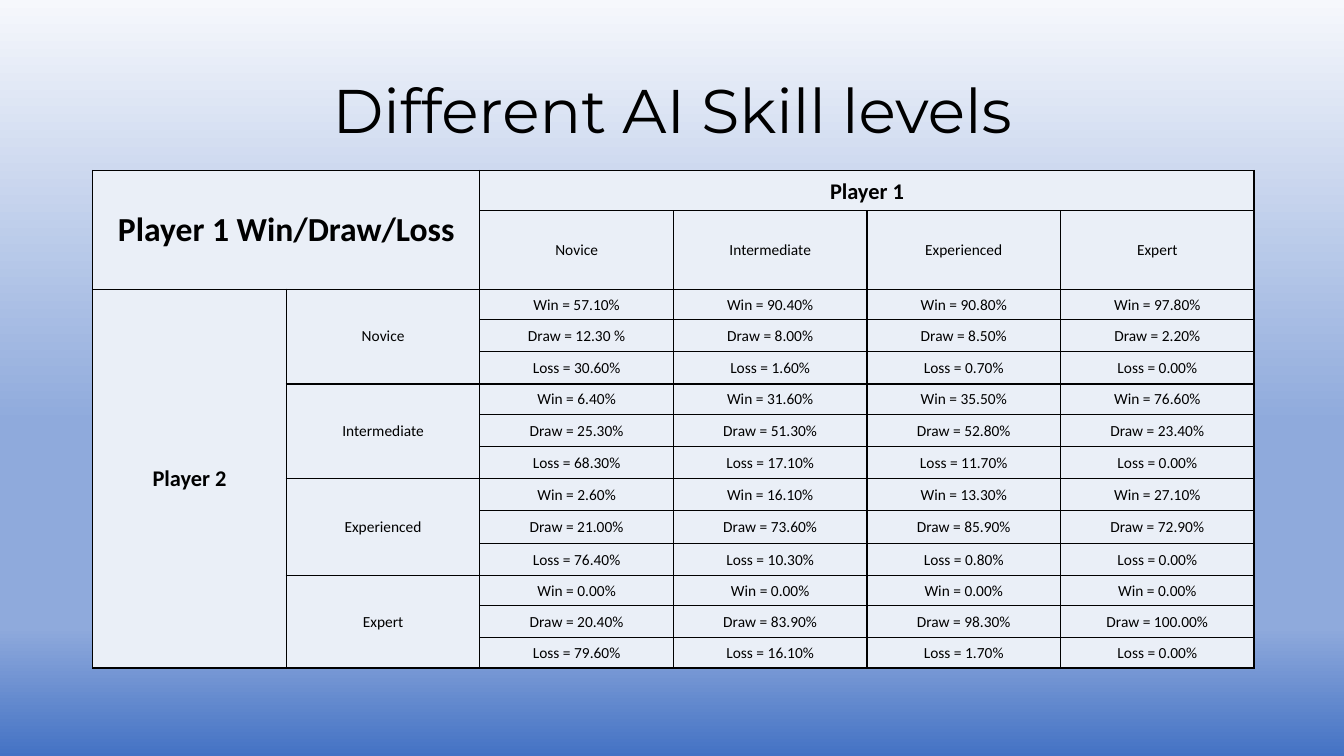
"""Build the slide that compares AI skill levels by win, draw and loss rates."""
from copy import deepcopy

from lxml import etree
from pptx import Presentation
from pptx.dml.color import RGBColor
from pptx.enum import text
from pptx.oxml import ns
from pptx.util import Inches, Pt

BLACK = RGBColor(0x00, 0x00, 0x00)
CELL_FILL = RGBColor(0xEA, 0xEF, 0xF7)
GRADIENT = [
    (0, RGBColor(0xF6, 0xF8, 0xFC)),
    (0.56, RGBColor(0x8F, 0xAA, 0xDC)),
    (0.83, RGBColor(0x8F, 0xAA, 0xDC)),
    (1, RGBColor(0x44, 0x72, 0xC4)),
]

LEVELS = ["Novice", "Intermediate", "Experienced", "Expert"]
OUTCOMES = ["Win", "Draw", "Loss"]
RATES = [
    ["57.10%", "90.40%", "90.80%", "97.80%"],
    ["12.30 %", "8.00%", "8.50%", "2.20%"],
    ["30.60%", "1.60%", "0.70%", "0.00%"],
    ["6.40%", "31.60%", "35.50%", "76.60%"],
    ["25.30%", "51.30%", "52.80%", "23.40%"],
    ["68.30%", "17.10%", "11.70%", "0.00%"],
    ["2.60%", "16.10%", "13.30%", "27.10%"],
    ["21.00%", "73.60%", "85.90%", "72.90%"],
    ["76.40%", "10.30%", "0.80%", "0.00%"],
    ["0.00%", "0.00%", "0.00%", "0.00%"],
    ["20.40%", "83.90%", "98.30%", "100.00%"],
    ["79.60%", "16.10%", "1.70%", "0.00%"],
]
ROW_HEIGHTS = [0.4, 0.78, 0.3, 0.32, 0.32, 0.3, 0.32,
               0.32, 0.32, 0.32, 0.32, 0.3, 0.32, 0.3]
COLUMN_WIDTH = 1.92
TIGHT = {"margin_left": 0.01, "margin_right": 0.01, "margin_top": 0.01, "margin_bottom": 0}
ROOMY = {"margin_left": 0.1, "margin_right": 0.1, "margin_top": 0.05, "margin_bottom": 0.05}


def write(frame, words, **font):
    """Put centred black text in a frame and return its paragraph."""
    frame.text = words
    paragraph = frame.paragraphs[0]
    paragraph.alignment = text.PP_ALIGN.CENTER
    run = paragraph.runs[0]
    run.font.color.rgb = BLACK
    for name, value in font.items():
        setattr(run.font, name, value)
    return paragraph


def fill_cell(cell, words, size=11, bold=False, margins=TIGHT):
    """Write a table cell with its margins and return its paragraph."""
    for name, value in margins.items():
        setattr(cell, name, Inches(value))
    cell.vertical_anchor = text.MSO_ANCHOR.MIDDLE
    return write(cell.text_frame, words, name="Calibri", size=Pt(size), bold=bold)


presentation = Presentation()
presentation.slide_width = Inches(13.33)
presentation.slide_height = Inches(7.5)
slide = presentation.slides.add_slide(presentation.slide_layouts[5])

background = slide.background.fill
background.gradient()
background.gradient_angle = 270
stop_list = slide.element.find(".//" + ns.qn("a:gsLst"))
for extra in range(len(GRADIENT) - len(stop_list)):
    stop_list.append(deepcopy(stop_list[0]))
for stop, (position, color) in zip(background.gradient_stops, GRADIENT):
    stop.position = position
    stop.color.rgb = color

title = slide.shapes.title
title.left, title.top = Inches(0.92), Inches(0.4)
title.width, title.height = Inches(11.5), Inches(1.45)
title.text_frame.vertical_anchor = text.MSO_ANCHOR.MIDDLE
heading = write(title.text_frame, "Different AI Skill levels", name="Montserrat", size=Pt(44))
heading.line_spacing = 0.9

row_count, column_count = len(ROW_HEIGHTS), len(LEVELS) + 2
table = slide.shapes.add_table(
    row_count, column_count, Inches(0.92), Inches(1.69),
    Inches(COLUMN_WIDTH * column_count), Inches(sum(ROW_HEIGHTS))).table
table.first_row = False
table.horz_banding = False
for column in table.columns:
    column.width = Inches(COLUMN_WIDTH)
for row, height in zip(table.rows, ROW_HEIGHTS):
    row.height = Inches(height)

for cell in table.iter_cells():
    properties = cell._tc.get_or_add_tcPr()
    for side in ("lnL", "lnR", "lnT", "lnB"):
        line = etree.SubElement(properties, ns.qn("a:" + side), w=str(Pt(1)))
        line_fill = etree.SubElement(line, ns.qn("a:solidFill"))
        etree.SubElement(line_fill, ns.qn("a:srgbClr"), val=str(BLACK))
    cell.fill.solid()
    cell.fill.fore_color.rgb = CELL_FILL

table.cell(0, 0).merge(table.cell(1, 1))
table.cell(0, 2).merge(table.cell(0, column_count - 1))
table.cell(2, 0).merge(table.cell(row_count - 1, 0))
corner = fill_cell(table.cell(0, 0), "Player 1 Win/Draw/Loss", 24, True)
corner.space_after = Pt(24)
fill_cell(table.cell(0, 2), "Player 1", 16, True, ROOMY)
table.cell(0, 2).vertical_anchor = text.MSO_ANCHOR.BOTTOM
fill_cell(table.cell(2, 0), "Player 2", 16, True, ROOMY)

for index, level in enumerate(LEVELS):
    fill_cell(table.cell(1, index + 2), level)
    first = 2 + index * len(OUTCOMES)
    table.cell(first, 1).merge(table.cell(first + len(OUTCOMES) - 1, 1))
    fill_cell(table.cell(first, 1), level, margins=ROOMY)

for row_index, rates in enumerate(RATES):
    outcome = OUTCOMES[row_index % len(OUTCOMES)]
    for column_index, rate in enumerate(rates):
        fill_cell(table.cell(row_index + 2, column_index + 2), f"{outcome} = {rate}")

presentation.save("out.pptx")
